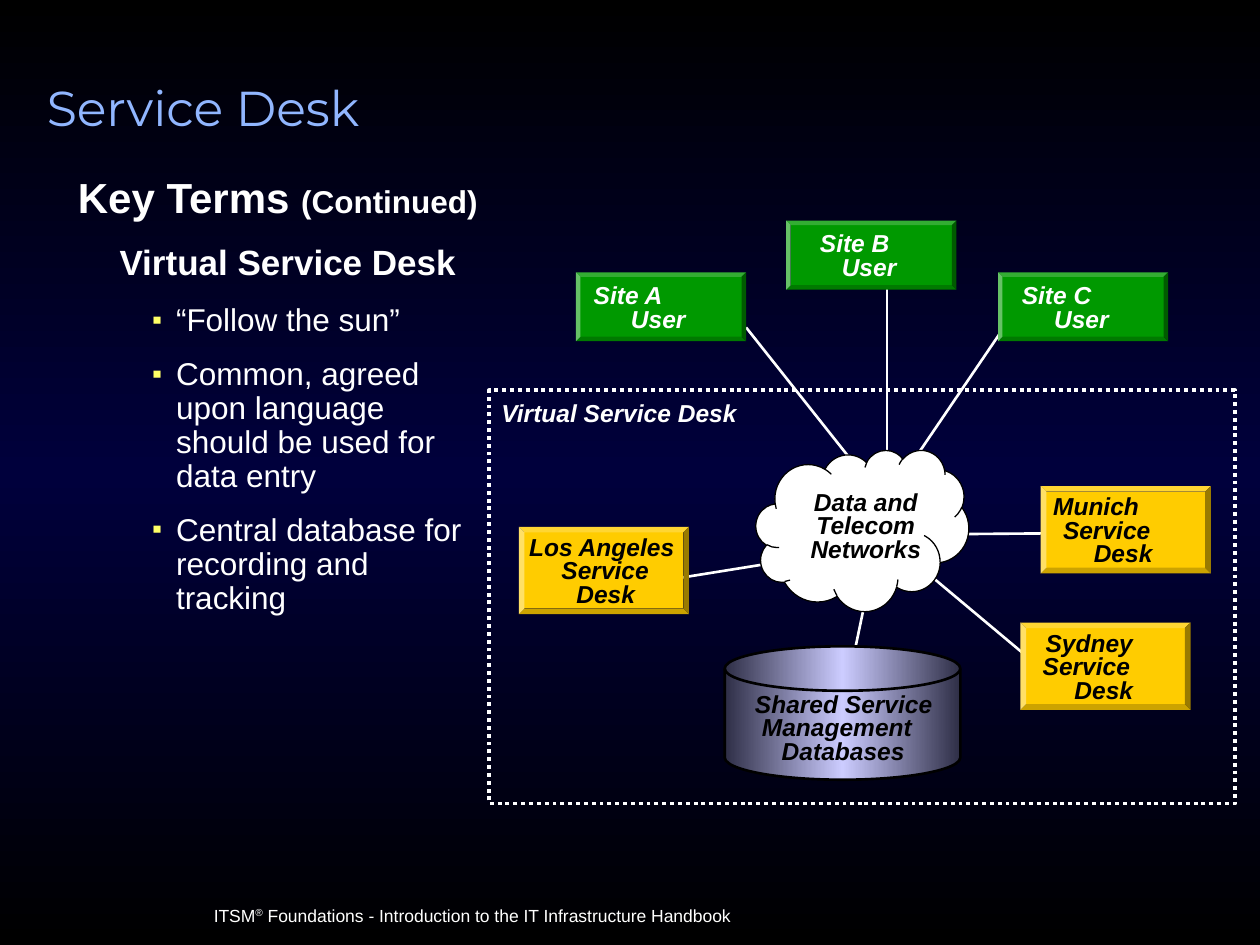
import pptx
import pptx.util
import pptx.dml.color
import pptx.enum.dml
import pptx.enum.shapes
import pptx.enum.text
import pptx.oxml
import pptx.oxml.ns
from lxml import etree

Cm = pptx.util.Cm
Pt = pptx.util.Pt
qn = pptx.oxml.ns.qn
Form = pptx.enum.shapes.MSO_SHAPE
Anchor = pptx.enum.text.MSO_ANCHOR
Align = pptx.enum.text.PP_ALIGN

HUES = {
    "white": "FFFFFF", "black": "000000", "navy": "00003C", "title": "91B6FF",
    "green": "009900", "gold": "FFCC00", "bullet": "FFFF66",
    "steel": "2E2E46", "lilac": "CCCCFF",
}


class Deck:
    font = "Arial"

    def __init__(self, wide, high):
        self.prs = pptx.Presentation()
        self.prs.slide_width, self.prs.slide_height = Cm(wide), Cm(high)
        self.slide = self.prs.slides.add_slide(self.prs.slide_layouts[5])

    def hue(self, name):
        return pptx.dml.color.RGBColor.from_string(HUES[name])

    def blend(self, fill, root, edge, core, angle):
        fill.gradient()
        fill.gradient_angle = angle
        stops = next(root.iter(qn("a:gsLst")))
        for stop in list(stops):
            stops.remove(stop)
        for pos, name in ((0, edge), (50000, core), (100000, edge)):
            stop = etree.SubElement(stops, qn("a:gs"), pos=str(pos))
            etree.SubElement(stop, qn("a:srgbClr"), val=HUES[name])

    def ground(self, edge, core):
        self.blend(self.slide.background.fill, self.slide.element, edge, core, 90)

    def shape(self, form, box, fill=None, line=None, width=1.5, tweaks=()):
        item = self.slide.shapes.add_shape(form, *map(Cm, box))
        item.shadow.inherit = False
        for num, value in enumerate(tweaks):
            item.adjustments[num] = value
        if fill:
            item.fill.solid()
            item.fill.fore_color.rgb = self.hue(fill)
        else:
            item.fill.background()
        if line:
            item.line.color.rgb = self.hue(line)
            item.line.width = Pt(width)
        else:
            item.line.fill.background()
        return item

    def link(self, start, end):
        kind = pptx.enum.shapes.MSO_CONNECTOR.STRAIGHT
        item = self.slide.shapes.add_connector(kind, *map(Cm, start + end))
        item.line.color.rgb = self.hue("white")
        item.line.width = Pt(1.5)
        etree.SubElement(item._element.spPr, qn("a:effectLst"))

    def title(self, text, box):
        item = self.slide.shapes.title
        item.left, item.top, item.width, item.height = map(Cm, box)
        frame = item.text_frame
        frame.word_wrap = True
        frame.vertical_anchor = Anchor.TOP
        para = frame.paragraphs[0]
        para.alignment = Align.LEFT
        para.line_spacing = 0.9
        self.run(para, text, 28, "title", font="Montserrat")

    def text(self, box, anchor=Anchor.TOP):
        frame = self.slide.shapes.add_textbox(*map(Cm, box)).text_frame
        frame.word_wrap = True
        frame.vertical_anchor = anchor
        return frame

    def para(self, frame, first, left=0, hang=0, space=1, before=0, after=0):
        para = frame.paragraphs[0] if first else frame.add_paragraph()
        para.line_spacing = space
        para.space_before, para.space_after = Pt(before), Pt(after)
        props = para._p.get_or_add_pPr()
        props.set("marL", str(Cm(left)))
        props.set("indent", str(Cm(-hang)))
        return para

    def bullet(self, para):
        props = para._p.get_or_add_pPr()
        tint = etree.SubElement(props, qn("a:buClr"))
        etree.SubElement(tint, qn("a:srgbClr"), val=HUES["bullet"])
        etree.SubElement(props, qn("a:buSzPct"), val="90000")
        etree.SubElement(props, qn("a:buFont"), typeface=self.font)
        etree.SubElement(props, qn("a:buChar"), char="▪")

    def run(self, para, text, size, color="white", bold=False, slant=False, font=None):
        run = para.add_run()
        run.text = text
        run.font.name = font or self.font
        run.font.size = Pt(size)
        run.font.bold, run.font.italic = bold, slant
        run.font.color.rgb = self.hue(color)
        return run

    def label(self, box, lines, color, anchor=Anchor.MIDDLE, align=Align.LEFT):
        frame = self.text(box, anchor)
        if align == Align.LEFT:
            frame.margin_right = 0
        for num, (text, left) in enumerate(lines):
            para = self.para(frame, num == 0, left, space=0.8)
            para.alignment = align
            self.run(para, text, 14, color, True, True)

    def plate(self, left, top, high, fill, color, lines):
        self.shape(Form.BEVEL, (left, top, 3.43, high), fill, tweaks=[0.065])
        rise = (high - 1.09) / 2 + 0.05
        self.label((left - 0.08, top + rise, 3.51, 1.09), lines, color)


deck = Deck(25.4, 19.05)
deck.ground("black", "navy")
deck.title("Service Desk", (0.69, 1.57, 22.66, 1.52))

foot = deck.para(deck.text((4.06, 18.11, 14.99, 0.69)), True)
deck.run(foot, "ITSM", 10)
mark = deck.run(foot, "®", 10)
mark._r.get_or_add_rPr().set("baseline", "30000")
deck.run(foot, " Foundations - Introduction to the IT Infrastructure Handbook", 10)

body = deck.text((1.32, 3.45, 8.69, 9.8))
head = deck.para(body, True, 0.58, 0.58, 0.9, 0, 6.8)
deck.run(head, "Key Terms ", 24, bold=True)
deck.run(head, "(Continued)", 18, bold=True)
term = deck.para(body, False, 1.32, 0.48, 0.9, 6.2, 7.5)
deck.run(term, "Virtual Service Desk", 20, bold=True)
for point in (
    "“Follow the sun”",
    "Common, agreed upon language should be used for data entry",
    "Central database for recording and tracking",
):
    para = deck.para(body, False, 1.98, 0.48, 0.9, 4.5, 6.8)
    deck.bullet(para)
    deck.run(para, point, 18)

zone = deck.shape(Form.RECTANGLE, (9.86, 7.87, 15.04, 8.33), None, "white", 2.24)
zone.line.dash_style = pptx.enum.dml.MSO_LINE.ROUND_DOT

for start, end in (
    ((22.61, 10.74), (18.92, 10.77)),
    ((17.22, 9.35), (15.04, 6.6)),
    ((17.88, 11.13), (17.88, 5.69)),
    ((18.39, 9.32), (20.24, 6.6)),
    ((16.94, 11.13), (13.64, 11.66)),
    ((18.19, 11.13), (21.64, 14.02)),
    ((17.09, 13.79), (17.75, 10.64)),
):
    deck.link(start, end)

for left, top, site, near, far in (
    (20.12, 5.49, "Site C", 0.31, 0.96),
    (11.61, 5.49, "Site A", 0.19, 0.94),
    (15.85, 4.45, "Site B", 0.51, 0.95),
):
    deck.plate(left, top, 1.39, "green", "white", [(site, near), ("User", far)])

for left, top, city, *steps in (
    (20.98, 9.8, "Munich", 0.08, 0.28, 0.9),
    (10.46, 10.62, "Los Angeles", 0.04, 0.69, 0.99),
    (20.57, 12.55, "Sydney", 0.34, 0.28, 0.92),
):
    lines = list(zip((city, "Service", "Desk"), steps))
    deck.plate(left, top, 1.76, "gold", "black", lines)

disk = deck.shape(Form.FLOWCHART_MAGNETIC_DISK, (14.61, 13.03, 4.75, 2.69), None, "black")
deck.blend(disk.fill, disk._element, "steel", "lilac", 0)
store = [("Shared Service", 0.14), ("Management", 0.28), ("Databases", 0.68)]
deck.label((14.83, 13.87, 4.34, 1.68), store, "black", Anchor.TOP)

deck.shape(Form.CLOUD_CALLOUT, (15.24, 9.07, 4.29, 3.25), "white", "black", 0.74, [0.02, -0.02])
deck.shape(Form.RECTANGLE, (17.17, 9.55, 1.78, 1.22), "white")
cloud = [("Data and Telecom Networks", 0)]
deck.label((15.7, 9.93, 3.51, 1.42), cloud, "black", align=Align.CENTER)
deck.label((9.86, 7.8, 7.65, 1.17), [("Virtual Service Desk", 0)], "white")

deck.prs.save("out.pptx")
